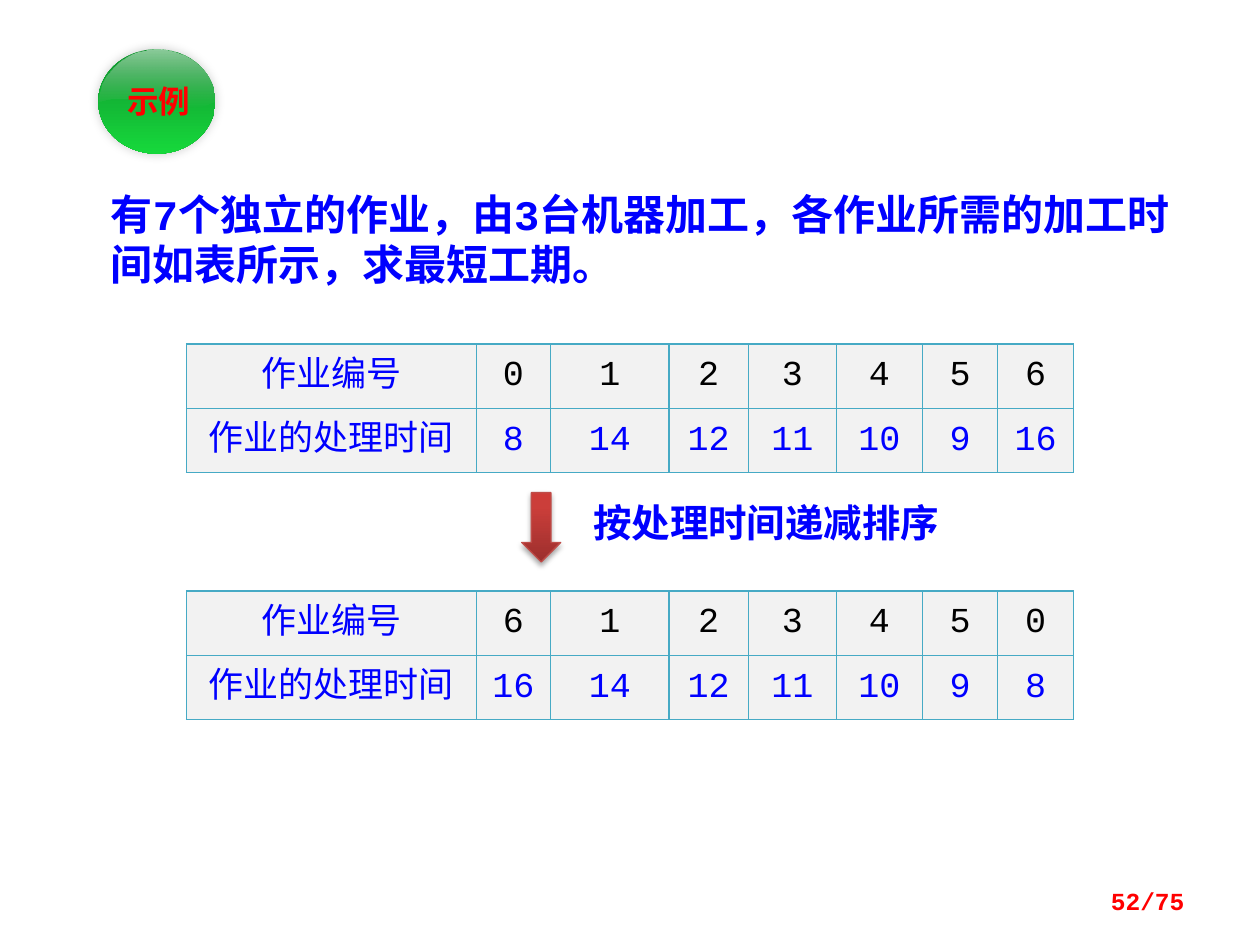
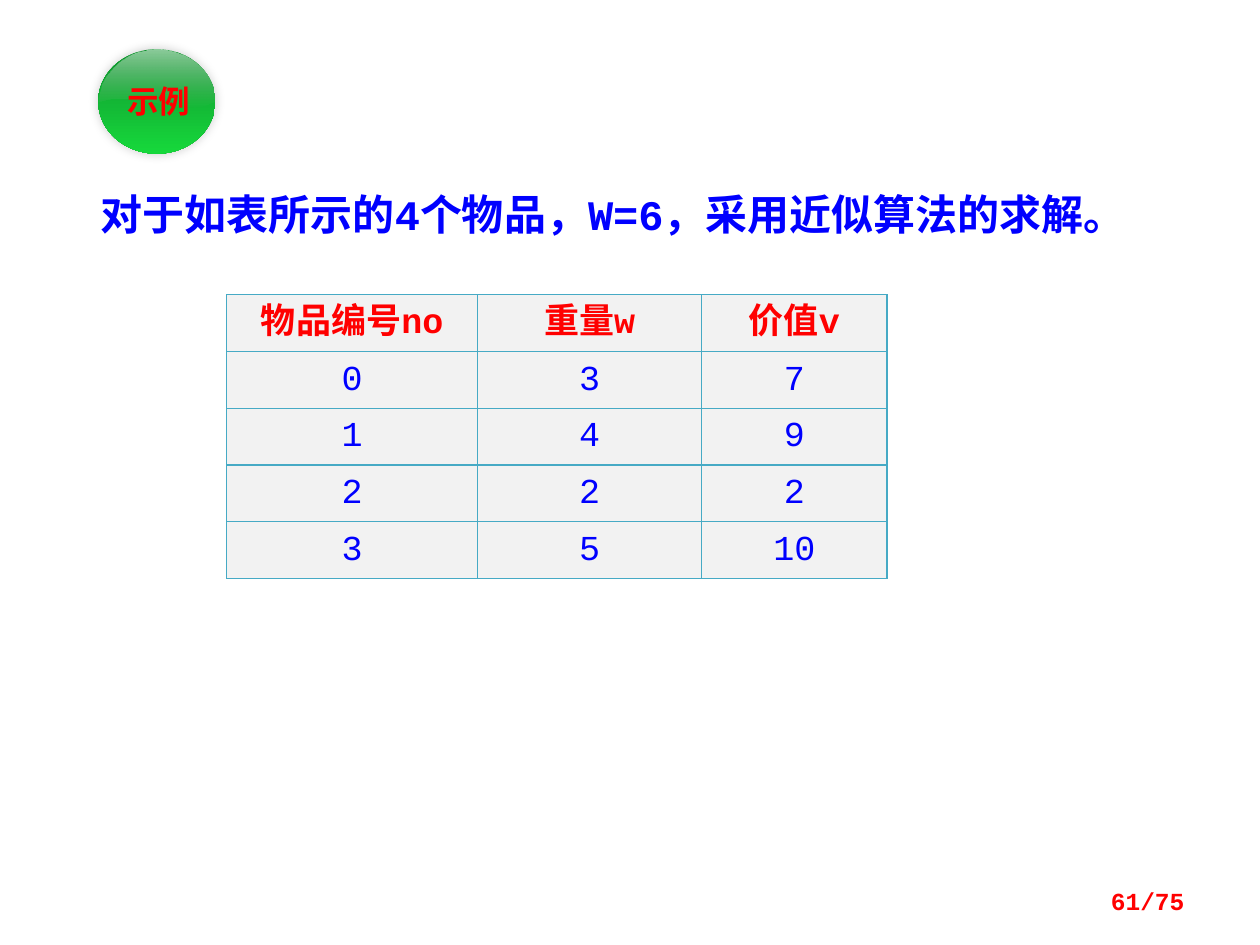
import dataclasses

import pptx
import pptx.dml.color
import pptx.enum.shapes
import pptx.enum.text
import pptx.oxml
import pptx.oxml.ns
import pptx.util

Inches = pptx.util.Inches
Pt = pptx.util.Pt
Anchor = pptx.enum.text.MSO_ANCHOR
Align = pptx.enum.text.PP_ALIGN
Preset = pptx.enum.shapes.MSO_SHAPE
qn = pptx.oxml.ns.qn
NAMESPACE = pptx.oxml.ns.nsdecls("a")


@dataclasses.dataclass(frozen=True)
class Theme:
    blue: str = "0000FF"
    red: str = "FF0000"
    black: str = "000000"
    cell: str = "F2F2F2"
    border: str = "46AAC5"
    arrow_line: str = "BF4C48"
    # Gradient stops: position, colour, opacity (all but colour in percent)
    badge: tuple = ((0, "10942F", 100), (100, "16D83B", 100))
    gloss: tuple = ((0, "FFFFFF", 53), (100, "B6B6B6", 0))
    arrow: tuple = ((0, "9C2F2D", 100), (80, "CB3E3A", 100), (100, "CE3B37", 100))
    mono: str = "Courier New"
    sans: str = "Noto Sans CJK SC"
    title_size: int = 24
    caption_size: int = 22
    table_size: int = 20
    badge_size: int = 18
    footer_size: int = 14


GLOSS_START = (1.59, 0.53)
GLOSS_CURVES = [
    ((1.66, 0.6), (1.7, 0.69), (1.7, 0.8)),
    ((1.38, 0.96), (1.17, 0.7), (0.79, 0.8)),
    ((0.79, 0.69), (0.84, 0.59), (0.92, 0.52)),
    ((1, 0.44), (1.12, 0.39), (1.25, 0.39)),
    ((1.39, 0.39), (1.51, 0.45), (1.59, 0.53)),
]


def curve_points(start, curves, steps=12):
    """Points along a chain of cubic Bezier curves."""
    points = []
    for first, second, end in curves:
        for step in range(1, steps + 1):
            t = step / steps
            u = 1 - t
            points.append(tuple(
                Inches(u**3 * a + 3 * u * u * t * b + 3 * u * t * t * c + t**3 * d)
                for a, b, c, d in zip(start, first, second, end)))
        start = end
    return points


class Painter:
    def __init__(self, deck, theme):
        self.deck = deck
        self.theme = theme
        self.page = None

    def new_page(self, number, title_spans, left, width):
        self.page = self.deck.slides.add_slide(self.deck.slide_layouts[5])
        self.title(title_spans, left, width)
        self.badge("示例")
        self.text((7.17, 6.95, 2.33, 0.4), number, self.theme.footer_size,
                  self.theme.red, self.theme.mono, Align.RIGHT)

    def span(self, para, words, size, colour, font, bold=True):
        span = para.add_run()
        span.text = words
        span.font.size = Pt(size)
        span.font.bold = bold
        span.font.name = font
        span.font.color.rgb = pptx.dml.color.RGBColor.from_string(colour)
        span._r.get_or_add_rPr().append(pptx.oxml.parse_xml(
            f'<a:ea {NAMESPACE} typeface="{self.theme.sans}"/>'))

    def title(self, spans, left, width):
        box = self.page.shapes.title
        box.left, box.top = Inches(left), Inches(1.45)
        box.width, box.height = Inches(width), Inches(0.91)
        frame = box.text_frame
        frame.auto_size = pptx.enum.text.MSO_AUTO_SIZE.NONE
        frame.vertical_anchor = Anchor.TOP
        para = frame.paragraphs[0]
        para.alignment = Align.LEFT
        para.line_spacing = Pt(28.5)
        for words, font in spans:
            self.span(para, words, self.theme.title_size, self.theme.blue, font)

    def text(self, area, words, size, colour, font, align=Align.LEFT, shapes=None):
        shapes = self.page.shapes if shapes is None else shapes
        frame = shapes.add_textbox(*map(Inches, area)).text_frame
        frame.word_wrap = True
        frame.vertical_anchor = Anchor.MIDDLE
        frame.margin_top = frame.margin_bottom = 0
        para = frame.paragraphs[0]
        para.alignment = align
        self.span(para, words, size, colour, font)

    def gradient(self, shape, stops, angle):
        shape.fill.solid()
        marks = "".join(
            f'<a:gs pos="{place * 1000}"><a:srgbClr val="{colour}">'
            f'<a:alpha val="{opacity * 1000}"/></a:srgbClr></a:gs>'
            for place, colour, opacity in stops)
        properties = shape._element.spPr
        properties.replace(properties.find(qn("a:solidFill")), pptx.oxml.parse_xml(
            f'<a:gradFill {NAMESPACE} rotWithShape="1"><a:gsLst>{marks}</a:gsLst>'
            f'<a:lin ang="{angle * 60000}" scaled="0"/></a:gradFill>'))
        shape.line.fill.background()
        shape.shadow.inherit = False

    def shadow(self, shape, opacity, blur, distance, angle):
        shape._element.spPr.find(qn("a:effectLst")).append(pptx.oxml.parse_xml(
            f'<a:outerShdw {NAMESPACE} blurRad="{Pt(blur)}" dist="{Pt(distance)}" '
            f'dir="{angle * 60000}" rotWithShape="0">'
            f'<a:srgbClr val="{self.theme.black}"><a:alpha val="{opacity * 1000}"/>'
            f'</a:srgbClr></a:outerShdw>'))

    def badge(self, words):
        shapes = self.page.shapes.add_group_shape().shapes
        ball = shapes.add_shape(Preset.OVAL, *map(Inches, (0.78, 0.39, 0.93, 0.83)))
        self.gradient(ball, self.theme.badge, 90)
        self.shadow(ball, 20, 6, 0, 315)
        outline = shapes.build_freeform(*map(Inches, GLOSS_START))
        outline.add_line_segments(curve_points(GLOSS_START, GLOSS_CURVES), close=True)
        self.gradient(outline.convert_to_shape(), self.theme.gloss, 90)
        self.text((0.83, 0.63, 0.86, 0.34), words, self.theme.badge_size,
                  self.theme.red, self.theme.sans, Align.CENTER, shapes)

    def down_arrow(self, area):
        arrow = self.page.shapes.add_shape(Preset.DOWN_ARROW, *map(Inches, area))
        self.gradient(arrow, self.theme.arrow, 270)
        arrow.line.color.rgb = pptx.dml.color.RGBColor.from_string(self.theme.arrow_line)
        arrow.line.width = Pt(0.75)
        self.shadow(arrow, 35, 3.1, 1.8, 90)

    def table(self, left, top, widths, row_height, rows, line_height, style):
        """style(row, column) gives the colour and the boldness of a cell's text."""
        table = self.page.shapes.add_table(
            len(rows), len(widths), Inches(left), Inches(top),
            Inches(sum(widths)), Inches(row_height * len(rows))).table
        table.first_row = table.horz_banding = False
        for column, width in zip(table.columns, widths):
            column.width = Inches(width)
        for r, values in enumerate(rows):
            table.rows[r].height = Inches(row_height)
            for c, value in enumerate(values):
                self.cell(table.cell(r, c), str(value), line_height, *style(r, c))

    def cell(self, cell, words, line_height, colour, bold):
        cell.margin_left = cell.margin_right = Inches(0.07)
        cell.margin_top = cell.margin_bottom = 0
        cell.vertical_anchor = Anchor.TOP
        para = cell.text_frame.paragraphs[0]
        para.alignment = Align.CENTER
        para.line_spacing = Pt(line_height)
        self.span(para, words, self.theme.table_size, colour, self.theme.mono, bold)
        cell.fill.solid()
        cell.fill.fore_color.rgb = pptx.dml.color.RGBColor.from_string(self.theme.cell)
        properties = cell._tc.get_or_add_tcPr()
        for place, side in enumerate("LRTB"):
            properties.insert(place, pptx.oxml.parse_xml(
                f'<a:ln{side} {NAMESPACE} w="{Pt(0.75)}"><a:solidFill>'
                f'<a:srgbClr val="{self.theme.border}"/></a:solidFill></a:ln{side}>'))


def scheduling_page(painter):
    theme = painter.theme
    painter.new_page("52/75", [
        ("有7个独立的作业，由3台机器加工，各作业所需的加工时间如表所示，", theme.mono),
        ("求最短工期。", theme.sans)], 0.78, 8.75)
    times = [8, 14, 12, 11, 10, 9, 16]
    jobs = list(range(len(times)))
    by_time = sorted(jobs, key=lambda job: -times[job])

    def job_style(row, column):
        return (theme.black if row == 0 and column > 0 else theme.blue), False

    for top, order in ((2.73, jobs), (4.69, by_time)):
        painter.table(1.48, top, [2.3, 0.59, 0.94, 0.63, 0.7, 0.68, 0.6, 0.6], 0.51,
                      [["作业编号", *order],
                       ["作业的处理时间", *(times[job] for job in order)]],
                      30, job_style)
    painter.down_arrow((4.14, 3.91, 0.31, 0.55))
    painter.text((4.61, 3.91, 3.13, 0.47), "按处理时间递减排序",
                 theme.caption_size, theme.blue, theme.sans)


def knapsack_page(painter):
    theme = painter.theme
    painter.new_page("61/75", [
        ("对于如表所示的4个物品，W=6，采用近似算法的求解。", theme.mono)], 0.7, 8.28)
    items = [(3, 7), (4, 9), (2, 2), (5, 10)]
    rows = [("物品编号no", "重量w", "价值v")]
    rows += [(number, *item) for number, item in enumerate(items)]
    painter.table(1.8, 2.34, [1.99, 1.78, 1.47], 0.45, rows, 28,
                  lambda row, column: (theme.blue, False) if row else (theme.red, True))


def main():
    deck = pptx.Presentation()
    deck.slide_width, deck.slide_height = Inches(10), Inches(7.5)
    painter = Painter(deck, Theme())
    scheduling_page(painter)
    knapsack_page(painter)
    deck.save("out.pptx")


if __name__ == "__main__":
    main()
